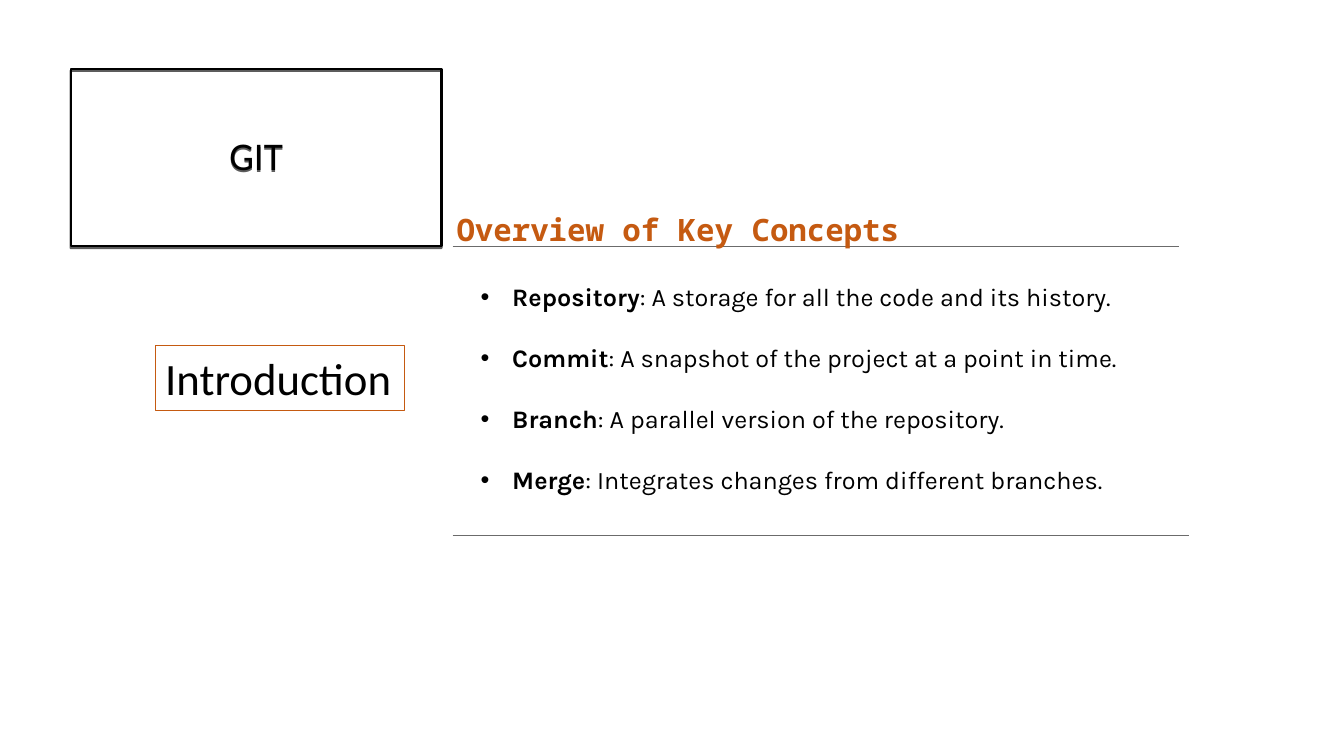
from dataclasses import dataclass

from lxml.etree import SubElement
from pptx import Presentation
from pptx.dml.color import RGBColor
from pptx.enum.shapes import MSO_CONNECTOR, MSO_SHAPE
from pptx.enum.text import MSO_ANCHOR, MSO_AUTO_SIZE, PP_ALIGN
from pptx.oxml.ns import qn
from pptx.shapes.autoshape import Shape
from pptx.slide import Slide
from pptx.text.text import TextFrame, _Paragraph
from pptx.util import Pt


@dataclass(frozen=True)
class Theme:
    ink: RGBColor = RGBColor(0x00, 0x00, 0x00)
    accent: RGBColor = RGBColor(0xC5, 0x5A, 0x11)
    rule: RGBColor = RGBColor(0x6B, 0x6B, 0x6B)
    label_font: str = "Calibri"
    body_font: str = "Karla"
    heading_font: str = "Noto Sans Mono"
    title_size: float = 28
    section_size: float = 32
    heading_size: float = 22
    body_size: float = 18


@dataclass(frozen=True)
class Box:
    left: float
    top: float
    width: float
    height: float


@dataclass(frozen=True)
class Concept:
    term: str
    meaning: str


@dataclass(frozen=True)
class Rule:
    top: float
    right: float


THEME = Theme()
TITLE_BOX = Box(50.4, 49, 265, 126.7)
SECTION_BOX = Box(110.9, 247, 177.8, 46.1)
HEADING_BOX = Box(319, 146.9, 332.6, 33.8)
CONCEPTS_BOX = Box(336.2, 197.3, 500.4, 159.8)
RULE_LEFT = 323.3
RULES = [Rule(175.7, 842.4), Rule(382.3, 849.6)]
BULLET_INDENT = 22.5
CONCEPT_GAP = 22
CONCEPTS = [
    Concept("Repository", "A storage for all the code and its history."),
    Concept("Commit", "A snapshot of the project at a point in time."),
    Concept("Branch", "A parallel version of the repository."),
    Concept("Merge", "Integrates changes from different branches."),
]


def place(shape: Shape, box: Box) -> None:
    for name in ("left", "top", "width", "height"):
        setattr(shape, name, Pt(getattr(box, name)))


def set_frame(frame: TextFrame, anchor: MSO_ANCHOR, wrap: bool = True) -> None:
    formats = {
        "auto_size": MSO_AUTO_SIZE.NONE,
        "word_wrap": wrap,
        "vertical_anchor": anchor,
    }
    for name, value in formats.items():
        setattr(frame, name, value)


def add_run(paragraph: _Paragraph, text: str, font_name: str, size: float,
            color: RGBColor, bold: bool = False) -> None:
    run = paragraph.add_run()
    run.text = text
    for name, value in {"name": font_name, "size": Pt(size), "bold": bold}.items():
        setattr(run.font, name, value)
    run.font.color.rgb = color


def set_outline(shape: Shape, color: RGBColor, width: float) -> None:
    shape.fill.background()
    shape.line.color.rgb = color
    shape.line.width = Pt(width)
    shape.shadow.inherit = False


def add_title(slide: Slide) -> None:
    title = slide.shapes.title
    place(title, TITLE_BOX)
    set_outline(title, THEME.ink, 1.5)
    effects = title.element.spPr.find(qn("a:effectLst"))
    shadow = SubElement(effects, qn("a:outerShdw"), blurRad="0",
                        dist=str(Pt(1.5)), dir="5400000", rotWithShape="0")
    color = SubElement(shadow, qn("a:srgbClr"), val=str(THEME.ink))
    SubElement(color, qn("a:alpha"), val="63000")
    set_frame(title.text_frame, MSO_ANCHOR.MIDDLE)
    paragraph = title.text_frame.paragraphs[0]
    paragraph.alignment = PP_ALIGN.CENTER
    paragraph.line_spacing = 0.9
    add_run(paragraph, "GIT", THEME.label_font, THEME.title_size, THEME.ink)


def add_rule(slide: Slide, rule: Rule) -> None:
    connector = slide.shapes.add_connector(
        MSO_CONNECTOR.STRAIGHT, Pt(RULE_LEFT), Pt(rule.top), Pt(rule.right), Pt(rule.top))
    connector.line.color.rgb = THEME.rule
    connector.line.width = Pt(0.5)
    SubElement(connector.element.spPr, qn("a:effectLst"))


def add_section(slide: Slide) -> None:
    shape = slide.shapes.add_shape(MSO_SHAPE.RECTANGLE, 0, 0, 0, 0)
    place(shape, SECTION_BOX)
    set_outline(shape, THEME.accent, 0.75)
    set_frame(shape.text_frame, MSO_ANCHOR.TOP, wrap=False)
    paragraph = shape.text_frame.paragraphs[0]
    paragraph.alignment = PP_ALIGN.LEFT
    add_run(paragraph, "Introduction", THEME.label_font, THEME.section_size, THEME.ink)


def add_concepts(slide: Slide) -> None:
    body = slide.placeholders[1]
    place(body, CONCEPTS_BOX)
    frame = body.text_frame
    set_frame(frame, MSO_ANCHOR.TOP)
    for index, concept in enumerate(CONCEPTS):
        paragraph = frame.add_paragraph() if index else frame.paragraphs[0]
        properties = paragraph._p.get_or_add_pPr()
        properties.set("marL", str(Pt(BULLET_INDENT)))
        properties.set("indent", str(-Pt(BULLET_INDENT)))
        SubElement(properties, qn("a:buFont"), typeface="Arial")
        SubElement(properties, qn("a:buChar"), char="•")
        paragraph.space_before = Pt(CONCEPT_GAP if index else 0)
        for text, bold in ((concept.term, True), (f": {concept.meaning}", False)):
            add_run(paragraph, text, THEME.body_font, THEME.body_size, THEME.ink, bold)


def add_heading(slide: Slide) -> None:
    heading = slide.shapes.add_textbox(0, 0, 0, 0)
    place(heading, HEADING_BOX)
    set_frame(heading.text_frame, MSO_ANCHOR.TOP)
    add_run(heading.text_frame.paragraphs[0], "Overview of Key Concepts",
            THEME.heading_font, THEME.heading_size, THEME.accent, bold=True)


def main() -> None:
    presentation = Presentation()
    presentation.slide_width = Pt(960)
    presentation.slide_height = Pt(540)
    slide = presentation.slides.add_slide(presentation.slide_layouts[1])
    add_title(slide)
    for rule in RULES:
        add_rule(slide, rule)
    add_section(slide)
    add_concepts(slide)
    add_heading(slide)
    presentation.save("out.pptx")


if __name__ == "__main__":
    main()
